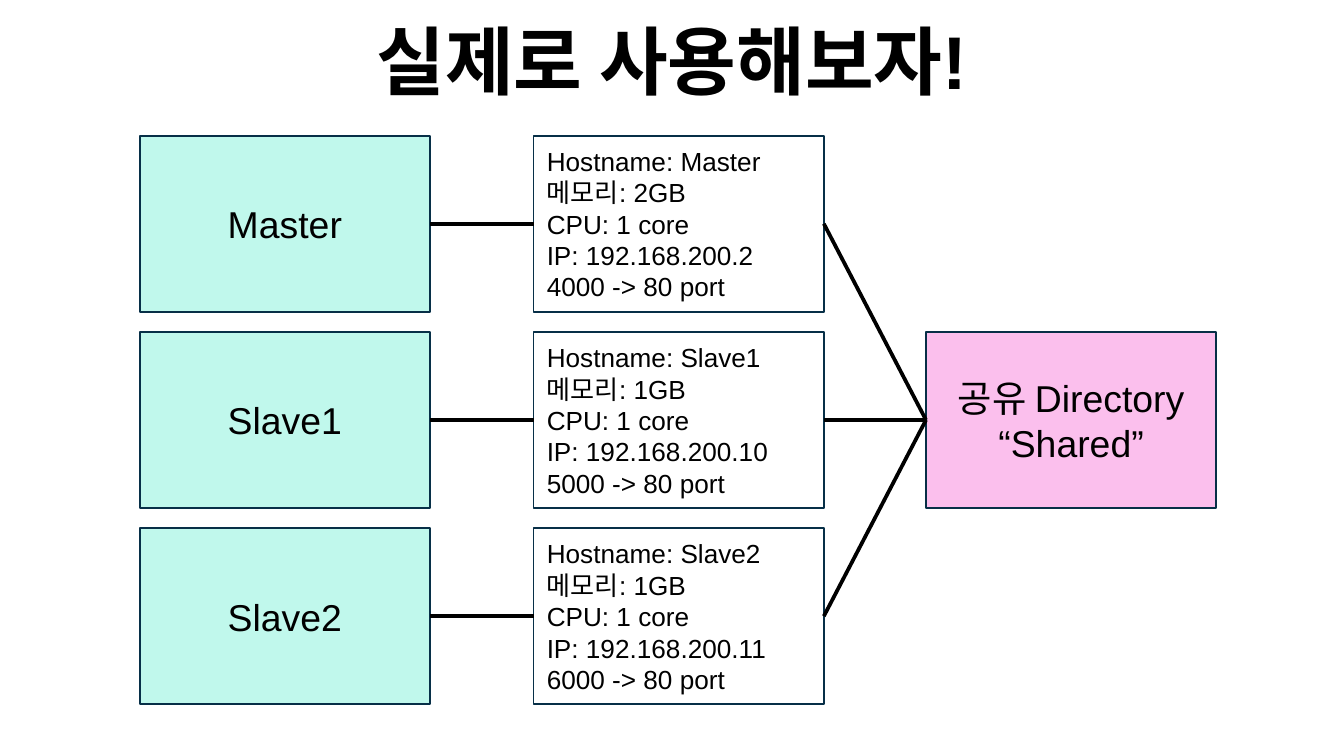
from dataclasses import dataclass

from lxml import etree
from pptx import Presentation
from pptx.dml.color import RGBColor
from pptx.enum.shapes import MSO_CONNECTOR, MSO_SHAPE
from pptx.enum.text import MSO_ANCHOR, PP_ALIGN
from pptx.oxml.ns import qn
from pptx.util import Inches, Pt

RECT = MSO_SHAPE.RECTANGLE
STRAIGHT = MSO_CONNECTOR.STRAIGHT
MIDDLE, BOTTOM = MSO_ANCHOR.MIDDLE, MSO_ANCHOR.BOTTOM
LEFT, CENTER = PP_ALIGN.LEFT, PP_ALIGN.CENTER

COLORS = {"text": "000000", "border": "072F47", "node": "C0F8EC",
          "details": "FFFFFF", "shared": "FBBFED"}
FONT = "Arial"
SLIDE_W = 10
SLIDE_H = SLIDE_W * 9 / 16
BOX_W, BOX_H = 2.16, 1.31
NODE_X, DETAILS_X, SHARED_X = 1.04, 3.97, 6.89
TOP, ROW_STEP = 1.01, 1.46
LEFT_SIDE, RIGHT_SIDE = 1, 3


@dataclass
class Host:
    name: str
    memory: str
    ip: str
    port: int

    def summary(self) -> str:
        return (f"Hostname: {self.name}\n메모리: {self.memory}\nCPU: 1 core\n"
                f"IP: {self.ip}\n{self.port} -> 80 port")


HOSTS = [
    Host("Master", "2GB", "192.168.200.2", 4000),
    Host("Slave1", "1GB", "192.168.200.10", 5000),
    Host("Slave2", "1GB", "192.168.200.11", 6000),
]


def color(name: str) -> RGBColor:
    return RGBColor.from_string(COLORS[name])


def set_text(sp, text: str, size: int, align: PP_ALIGN, anchor: MSO_ANCHOR,
             bold: bool = False) -> None:
    tf = sp.text_frame
    tf.text = text
    tf.word_wrap = True
    tf.vertical_anchor = anchor
    for p in tf.paragraphs:
        p.alignment = align
        for r in p.runs:
            r.font.name = FONT
            r.font.size = Pt(size)
            r.font.bold = bold
            r.font.color.rgb = color("text")


def add_box(slide, x: float, row: int, text: str, fill: str, size: int = 20,
            align: PP_ALIGN = CENTER):
    sp = slide.shapes.add_shape(RECT, Inches(x), Inches(TOP + row * ROW_STEP),
                                Inches(BOX_W), Inches(BOX_H))
    sp.shadow.inherit = False
    sp.fill.solid()
    sp.fill.fore_color.rgb = color(fill)
    sp.line.color.rgb = color("border")
    sp.line.width = Pt(1)
    set_text(sp, text, size, align, MIDDLE)
    return sp


def link(slide, source, target) -> None:
    """Join the right side of source to the left side of target."""
    line = slide.shapes.add_connector(STRAIGHT, 0, 0, 0, 0)
    line.begin_connect(source, RIGHT_SIDE)
    line.end_connect(target, LEFT_SIDE)
    line.line.color.rgb = color("text")
    line.line.width = Pt(2)
    etree.SubElement(line._element.spPr, qn("a:effectLst"))


def main() -> None:
    prs = Presentation()
    prs.slide_width, prs.slide_height = Inches(SLIDE_W), Inches(SLIDE_H)
    slide = prs.slides.add_slide(prs.slide_layouts[5])

    title = slide.shapes.title
    title.left, title.top = Inches(0), Inches(0.2)
    title.width, title.height = Inches(SLIDE_W), Inches(0.63)
    set_text(title, "실제로 사용해보자!", 40, CENTER, BOTTOM, bold=True)

    nodes = [add_box(slide, NODE_X, row, host.name, "node")
             for row, host in enumerate(HOSTS)]
    details = [add_box(slide, DETAILS_X, row, host.summary(), "details", 14, LEFT)
               for row, host in enumerate(HOSTS)]
    shared = add_box(slide, SHARED_X, 1, "공유 Directory\n“Shared”", "shared")

    for node, detail in zip(nodes, details):
        link(slide, node, detail)
    for detail in reversed(details):
        link(slide, detail, shared)

    prs.save("out.pptx")


if __name__ == "__main__":
    main()
